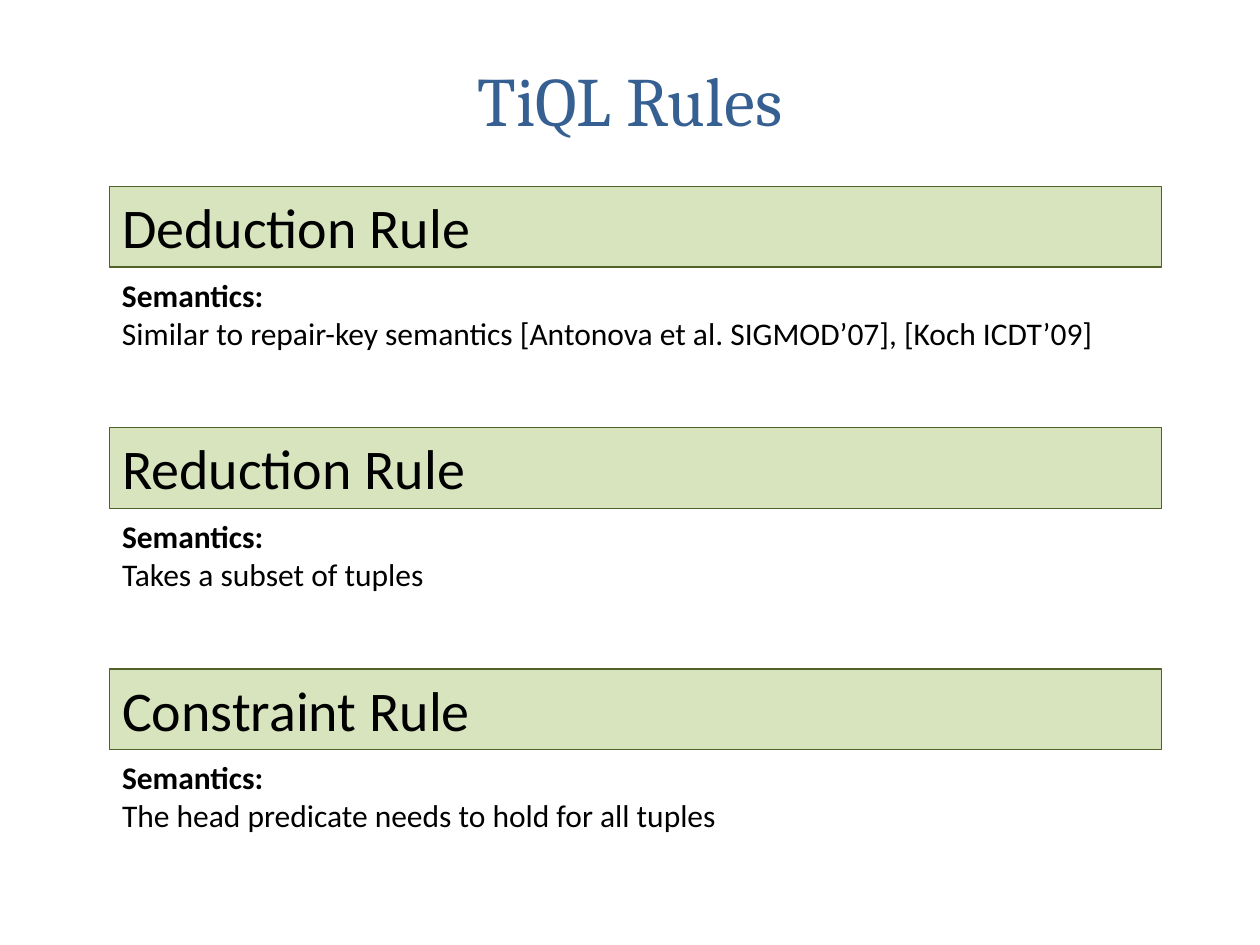
from pptx import Presentation
from pptx.dml.color import RGBColor
from pptx.enum.shapes import MSO_SHAPE as Shape
from pptx.enum.text import MSO_ANCHOR as Anchor, MSO_AUTO_SIZE as AutoSize, PP_ALIGN as Align
from pptx.util import Inches, Pt

COLORS = {"title": "376092", "band": "D7E4BD", "border": "4F6228", "text": "000000"}
RULES = [
    ("Deduction Rule", "Similar to repair-key semantics [Antonova et al. SIGMOD’07], [Koch ICDT’09]", 8.63),
    ("Reduction Rule", "Takes a subset of tuples", 8.35),
    ("Constraint Rule", "The head predicate needs to hold for all tuples", 8.35),
]
LEFT, TOP, PITCH = 0.87, 1.48, 1.915
BAND_WIDTH, BAND_HEIGHT = 8.35, 0.64
SEMANTICS_OFFSET, SEMANTICS_HEIGHT = 0.66, 0.71


def color(name):
    return RGBColor.from_string(COLORS[name])


def add_span(para, text, size, bold=False, font="Calibri", color_name="text"):
    span = para.add_run()
    span.text = text
    span.font.name = font
    span.font.size = Pt(size)
    span.font.bold = bold
    span.font.color.rgb = color(color_name)


def set_title(page, text):
    title = page.shapes.title
    title.left, title.top = Inches(0.5), Inches(0.37)
    title.width, title.height = Inches(9), Inches(0.82)
    frame = title.text_frame
    frame.auto_size = AutoSize.NONE
    frame.vertical_anchor = Anchor.MIDDLE
    para = frame.paragraphs[0]
    para.alignment = Align.CENTER
    add_span(para, text, 39.6, font="Cambria", color_name="title")


def add_band(page, top, name):
    band = page.shapes.add_shape(
        Shape.RECTANGLE, Inches(LEFT), Inches(top), Inches(BAND_WIDTH), Inches(BAND_HEIGHT)
    )
    band.shadow.inherit = False
    band.fill.solid()
    band.fill.fore_color.rgb = color("band")
    band.line.color.rgb = color("border")
    band.line.width = Pt(0.75)
    frame = band.text_frame
    frame.word_wrap = True
    frame.auto_size = AutoSize.SHAPE_TO_FIT_TEXT
    frame.vertical_anchor = Anchor.TOP
    para = frame.paragraphs[0]
    para.alignment = Align.LEFT
    add_span(para, name, 32)


def add_semantics(page, top, meaning, width):
    box = page.shapes.add_textbox(
        Inches(LEFT), Inches(top), Inches(width), Inches(SEMANTICS_HEIGHT)
    )
    frame = box.text_frame
    frame.word_wrap = True
    frame.auto_size = AutoSize.SHAPE_TO_FIT_TEXT
    add_span(frame.paragraphs[0], "Semantics:", 18, bold=True)
    add_span(frame.add_paragraph(), meaning, 18)


def main():
    deck = Presentation()
    deck.slide_width, deck.slide_height = Inches(10), Inches(7.5)
    page = deck.slides.add_slide(deck.slide_layouts.get_by_name("Title Only"))
    set_title(page, "TiQL Rules")
    for index, (name, meaning, width) in enumerate(RULES):
        top = TOP + index * PITCH
        add_band(page, top, name)
        add_semantics(page, top + SEMANTICS_OFFSET, meaning, width)
    deck.save("out.pptx")


if __name__ == "__main__":
    main()
